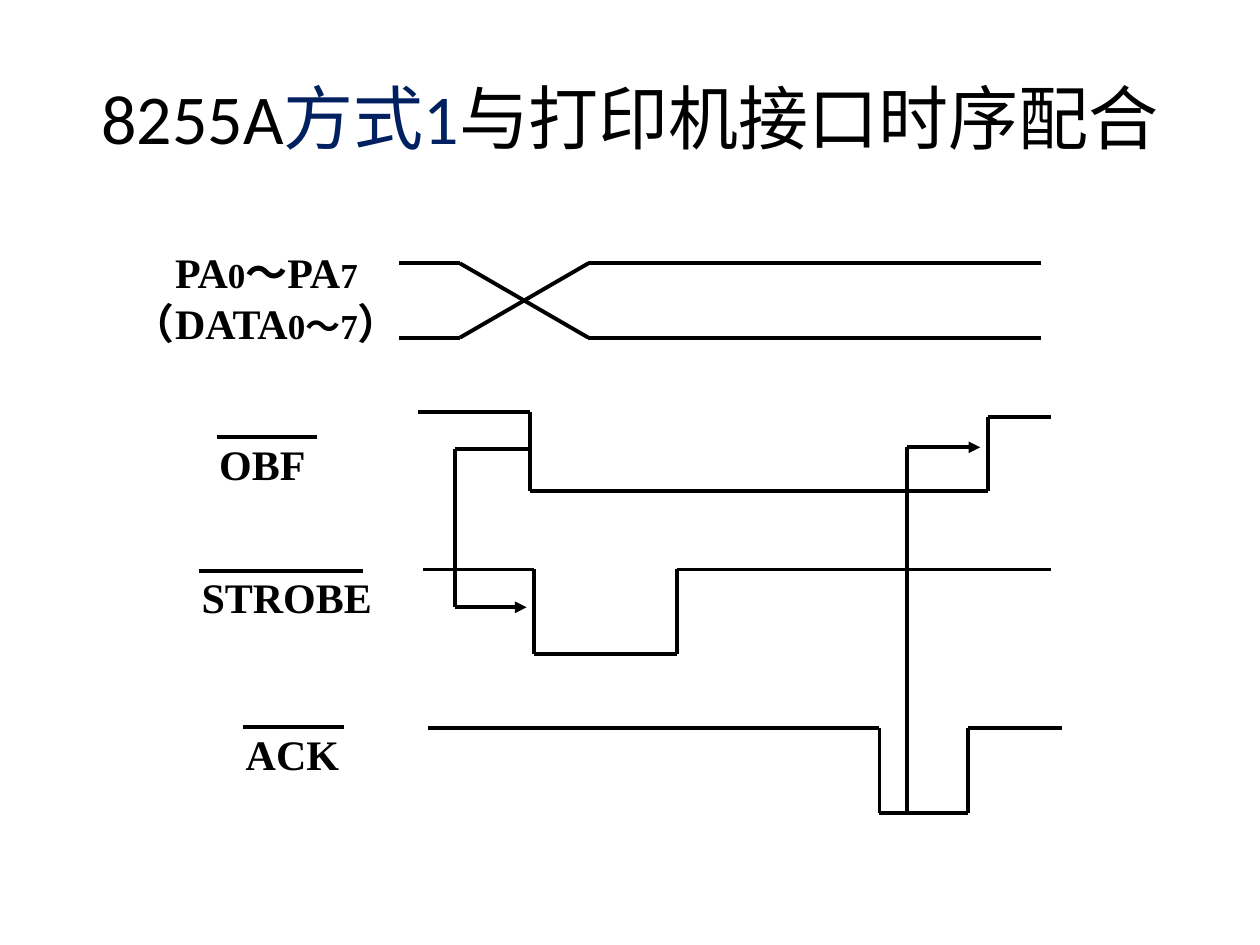
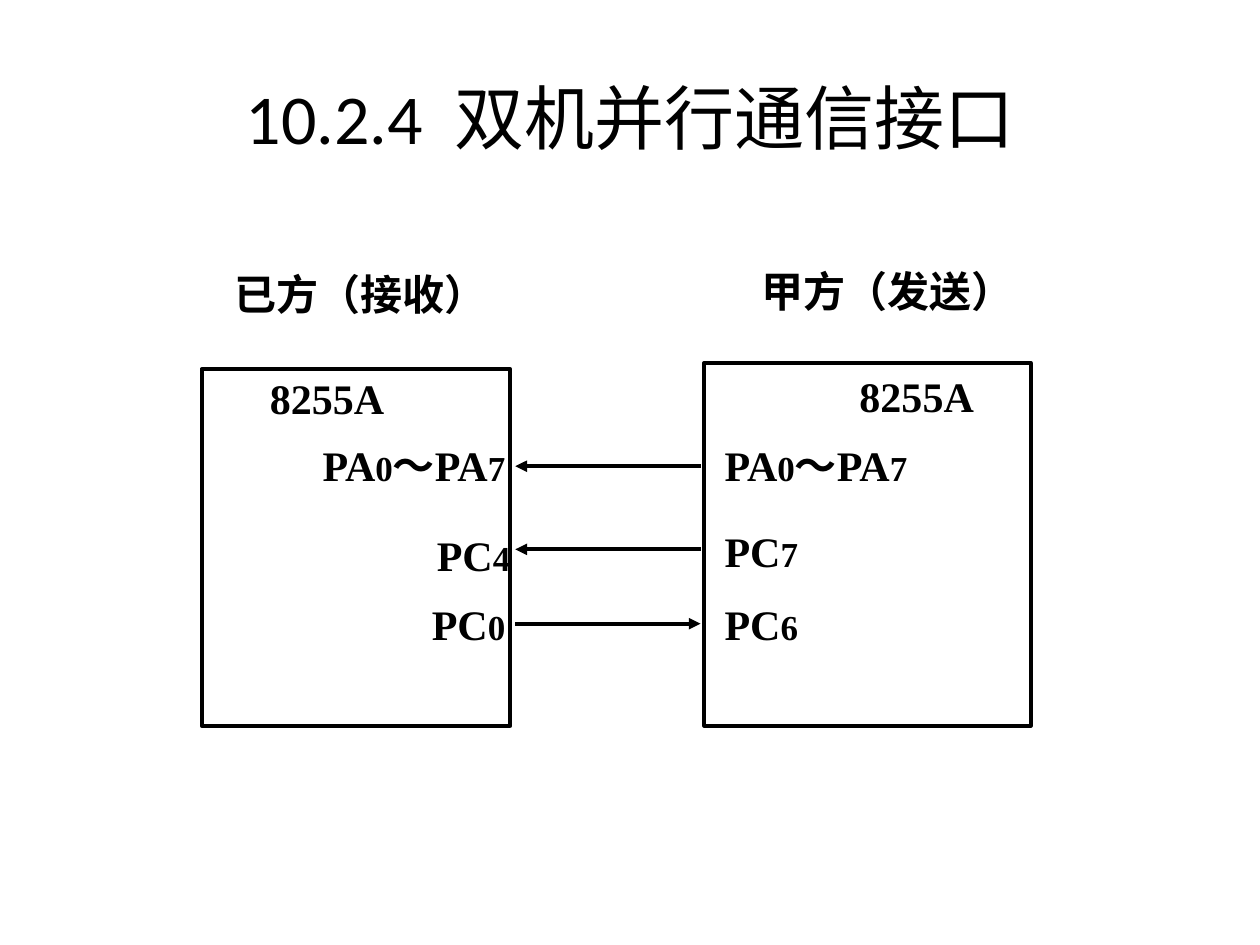
from itertools import pairwise
from lxml import etree
from pptx import Presentation, util as u
from pptx.dml.color import RGBColor
from pptx.enum import shapes, text
from pptx.oxml.ns import qn

prs = Presentation()
prs.slide_width, prs.slide_height = u.Inches(10), u.Inches(7.5)
COL, ROW = prs.slide_width / 100, prs.slide_height / 75
rgb = RGBColor.from_string
BLACK, NAVY = "000000", "002060"
LINE = u.Pt(2.25)
LEFT, CENTER, RIGHT = text.PP_ALIGN.LEFT, text.PP_ALIGN.CENTER, text.PP_ALIGN.RIGHT
LABEL = dict(font="Times New Roman", bold=True, sizes=(24, 20), colors=(BLACK, BLACK))
TITLE = dict(font="Calibri", bold=False, sizes=(40, 40), colors=(BLACK, NAVY))


def write(s, box, paragraphs, align, style=LABEL):
    x, y, w, h = box
    tf = s.shapes.add_textbox(int(x * COL), int(y * ROW), int(w * COL), int(h * ROW)).text_frame
    tf.word_wrap = True
    tf.margin_left = tf.margin_right = tf.margin_top = tf.margin_bottom = u.Inches(0.01)
    if style is TITLE:
        tf.vertical_anchor = text.MSO_ANCHOR.MIDDLE
    for i, runs in enumerate(paragraphs):
        p = tf.add_paragraph() if i else tf.paragraphs[0]
        p.alignment = align
        p.font.name, p.font.bold = style["font"], style["bold"]
        for j, part in enumerate(runs):
            r = p.add_run()
            r.text = part
            r.font.size = u.Pt(style["sizes"][j % 2])
            r.font.color.rgb = rgb(style["colors"][j % 2])
    return tf


def trace(s, points, arrow=False):
    for (x1, y1), (x2, y2) in pairwise(points):
        c = s.shapes.add_connector(shapes.MSO_CONNECTOR.STRAIGHT, int(x1 * COL), int(y1 * ROW),
                                   int(x2 * COL), int(y2 * ROW))
        c.line.color.rgb, c.line.width = rgb(BLACK), LINE
        etree.SubElement(c._element.spPr, qn("a:effectLst"))
    if arrow:
        etree.SubElement(c.line._get_or_add_ln(), qn("a:tailEnd"), type="triangle")


slides = []
for title in (["8255A", "方式1", "与打印机接口时序配合"], ["10.2.4", " ", "双机并行通信接口"]):
    s = prs.slides.add_slide(prs.slide_layouts[6])
    title_frame = write(s, (5, 3, 90, 12.5), [title], CENTER, TITLE)
    slides.append(s)
title_frame.paragraphs[0].runs[1]._r.get_or_add_rPr().set("spc", "900")
timing, link = slides

for start, end in ((20.9, 26.8), (26.8, 20.9)):
    trace(timing, [(31.7, start), (36.5, start), (46.7, end), (82.6, end)])
write(timing, (8.3, 19.5, 25.7, 13),
      [["PA", "0", "～PA", "7"], ["（DATA", "0～7", "）"]], CENTER)

for name, label_x, bar_y, bar_w, start, fall, rise, end, high, low, high_after in (
    ("OBF", 17.2, 34.7, 8, 33.2, 42.1, 78.4, 83.4, 32.7, 39, 33.1),
    ("STROBE", 15.8, 45.3, 13, 33.6, 42.4, 53.7, 83.4, 45.2, 51.9, 45.2),
    ("ACK", 19.3, 57.7, 8, 34, 69.8, 76.8, 84.3, 57.8, 64.5, 57.8),
):
    trace(timing, [(start, high), (fall, high), (fall, low), (rise, low),
                   (rise, high_after), (end, high_after)])
    trace(timing, [(label_x, bar_y), (label_x + bar_w, bar_y)])
    write(timing, (label_x + 0.1, bar_y, 14.5, 6.3), [[name]], LEFT)

trace(timing, [(42.1, 35.6), (36.1, 35.6), (36.1, 48.2), (41.8, 48.2)], arrow=True)
trace(timing, [(72, 64.5), (72, 35.5), (77.8, 35.5)], arrow=True)

for party, party_x, party_y, box_x, box_y, box_w, chip_x, chip_y in (
    ("已方（接收）", 15.6, 21.2, 16, 29.3, 24.5, 15.2, 29.5),
    ("甲方（发送）", 57.4, 21, 55.9, 28.8, 25.9, 62, 29.3),
):
    sp = link.shapes.add_shape(shapes.MSO_SHAPE.RECTANGLE, int(box_x * COL), int(box_y * ROW),
                               int(box_w * COL), int((57.6 - box_y) * ROW))
    sp.shadow.inherit = False
    sp.fill.background()
    sp.line.color.rgb, sp.line.width = rgb(BLACK), LINE
    write(link, (party_x, party_y, 26.1, 8.2), [[party]], CENTER)
    write(link, (chip_x, chip_y, 21.5, 5.6), [["8255A"]], CENTER)

PORT_A = ["PA", "0", "～PA", "7"]
for receiver, rx, ry, sender, sy, wire_y, wire in (
    (PORT_A, 18.7, 34.8, PORT_A, 34.8, 37, (55.6, 40.9)),
    (["PC", "4"], 19.1, 41.9, ["PC", "7"], 41.6, 43.6, (55.6, 40.9)),
    (["PC", "0"], 18.7, 47.4, ["PC", "6"], 47.4, 49.5, (40.9, 55.6)),
):
    write(link, (rx, ry, 21.5, 8.2), [receiver], RIGHT)
    write(link, (57.4, sy, 21.5, 8.2), [sender], LEFT)
    trace(link, [(x, wire_y) for x in wire], arrow=True)

prs.save("out.pptx")
